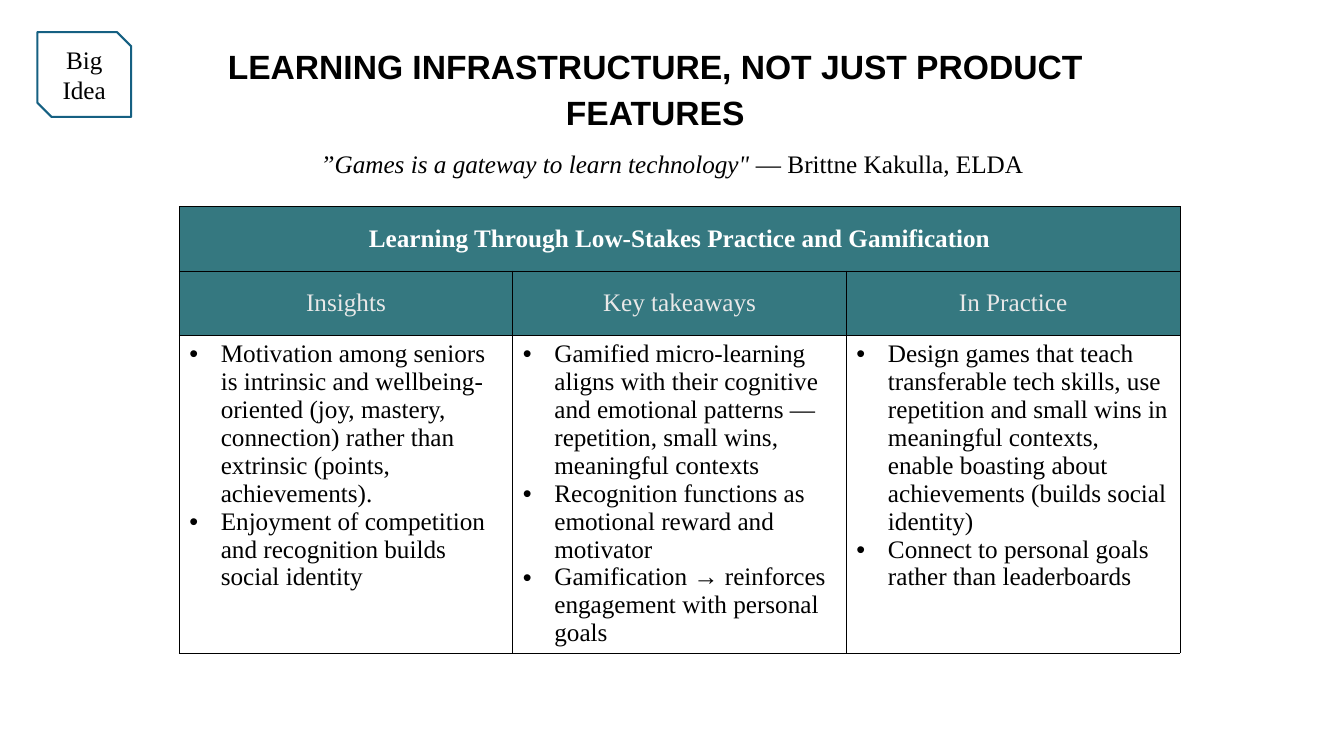
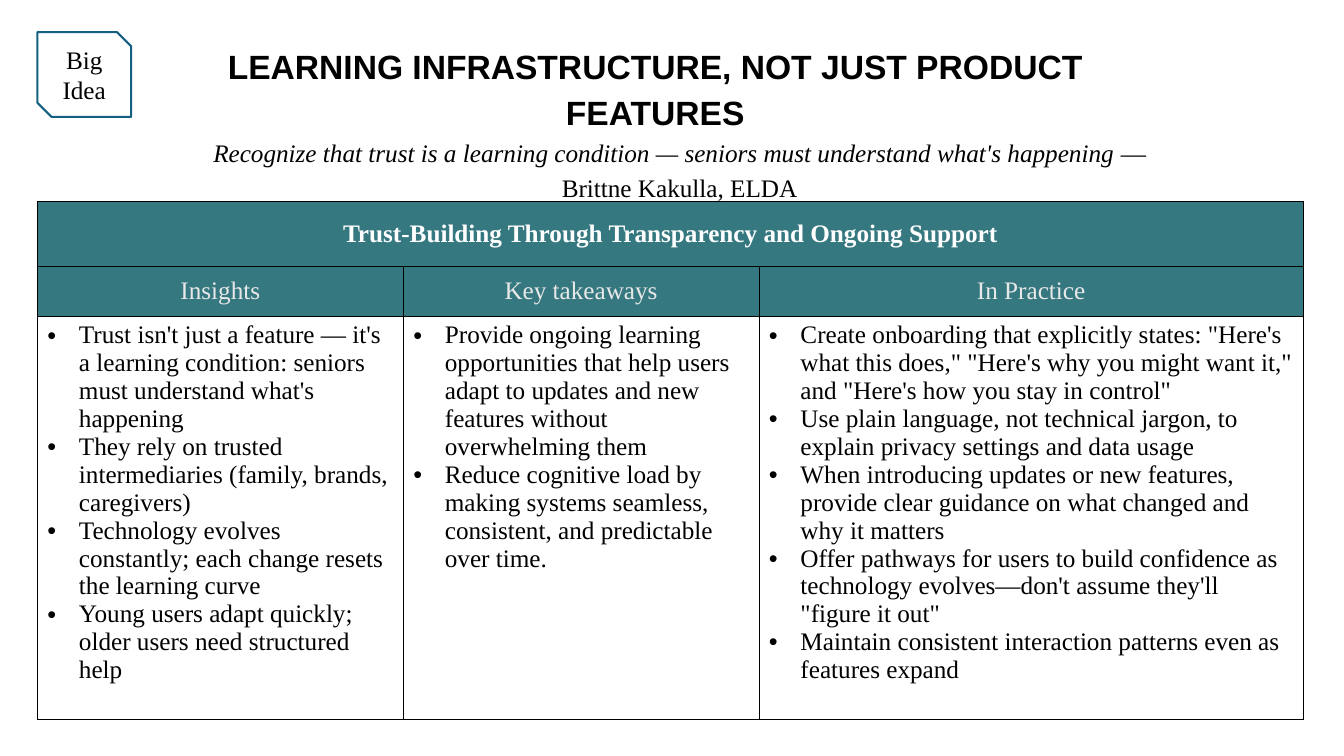
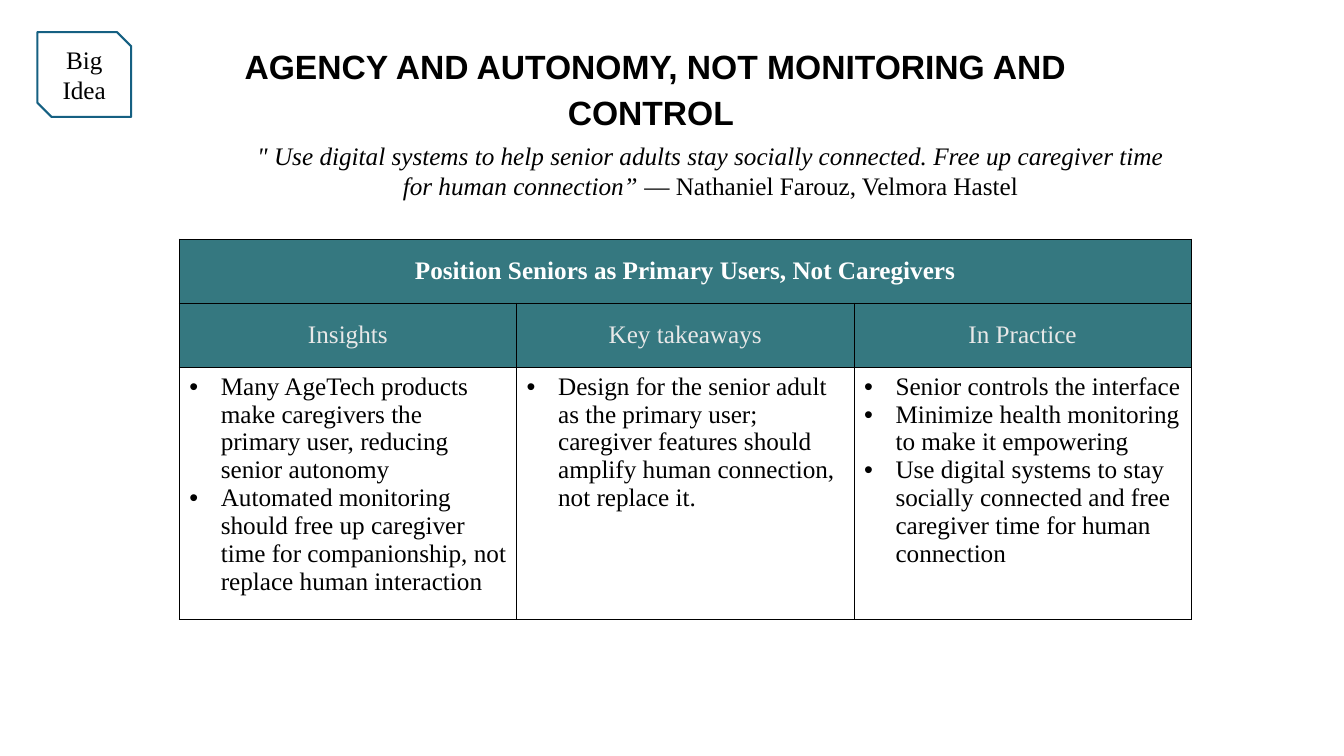
import lxml.etree
import pptx
import pptx.dml.color
import pptx.enum.shapes
import pptx.enum.text
import pptx.oxml
import pptx.oxml.ns
import pptx.util

Pt = pptx.util.Pt
CENTER = pptx.enum.text.PP_ALIGN.CENTER
MIDDLE = pptx.enum.text.MSO_ANCHOR.MIDDLE
TEAL, BLUE, BLACK, WHITE, PALE = "357880", "156082", "000000", "FFFFFF", "E8E8E8"
SERIF = {"name": "Times New Roman", "size": Pt(18)}
TITLE = {"name": "Arial", "size": Pt(24), "bold": True}
SPACED = {"alignment": CENTER, "line_spacing": 1.15, "space_after": Pt(8)}
BULLET_INDENT = Pt(22.5)
HEADINGS = ["Insights", "Key takeaways", "In Practice"]
BORDER = (
    '<a:{side} xmlns:a="http://schemas.openxmlformats.org/drawingml/2006/main" w="6350">'
    '<a:solidFill><a:srgbClr val="{color}"/></a:solidFill></a:{side}>'
)

INFRASTRUCTURE = "LEARNING INFRASTRUCTURE, NOT JUST PRODUCT FEATURES"
PAGES = [
    {
        "title": INFRASTRUCTURE,
        "quote": "”Games is a gateway to learn technology\" ",
        "speaker": "— Brittne Kakulla, ELDA",
        "quote_box": (160, 99.5, 640, 31),
        "quote_format": SPACED,
        "quote_indent": 0,
        "theme": "Learning Through Low-Stakes Practice and Gamification",
        "table_at": (128, 147.5),
        "columns": [238.3] * 3,
        "rows": [46, 46, 227],
        "points": [
            [
                "Motivation among seniors is intrinsic and wellbeing-oriented (joy, mastery, connection) "
                "rather than extrinsic (points, achievements).",
                "Enjoyment of competition and recognition builds social identity",
            ],
            [
                "Gamified micro-learning aligns with their cognitive and emotional patterns — "
                "repetition, small wins, meaningful contexts",
                "Recognition functions as emotional reward and motivator",
                "Gamification → reinforces engagement with personal goals",
            ],
            [
                "Design games that teach transferable tech skills, use repetition and small wins in "
                "meaningful contexts, enable boasting about achievements (builds social identity)",
                "Connect to personal goals rather than leaderboards",
            ],
        ],
    },
    {
        "title": INFRASTRUCTURE,
        "quote": "Recognize that trust is a learning condition — seniors must understand what's happening ",
        "speaker": "— Brittne Kakulla, ELDA",
        "quote_box": (128, 91.5, 715, 56),
        "quote_format": SPACED,
        "quote_indent": 0,
        "theme": "Trust-Building Through Transparency and Ongoing Support",
        "table_at": (26.7, 144),
        "columns": [261.4, 254, 389],
        "rows": [46, 36, 266],
        "points": [
            [
                "Trust isn't just a feature — it's a learning condition: seniors must understand "
                "what's happening",
                "They rely on trusted intermediaries (family, brands, caregivers)",
                "Technology evolves constantly; each change resets the learning curve",
                "Young users adapt quickly; older users need structured help",
            ],
            [
                "Provide ongoing learning opportunities that help users adapt to updates and new "
                "features without overwhelming them",
                "Reduce cognitive load by making systems seamless, consistent, and predictable over time.",
            ],
            [
                "Create onboarding that explicitly states: \"Here's what this does,\" \"Here's why you "
                "might want it,\" and \"Here's how you stay in control\"",
                "Use plain language, not technical jargon, to explain privacy settings and data usage",
                "When introducing updates or new features, provide clear guidance on what changed and "
                "why it matters",
                "Offer pathways for users to build confidence as technology evolves—don't assume "
                "they'll \"figure it out\"",
                "Maintain consistent interaction patterns even as features expand",
            ],
        ],
    },
    {
        "title": "AGENCY AND AUTONOMY, NOT MONITORING AND CONTROL ",
        "quote": "\" Use digital systems to help senior adults stay socially connected. "
                 "Free up caregiver time for human connection” ",
        "speaker": "— Nathaniel Farouz, Velmora Hastel",
        "quote_box": (128, 96.5, 723, 51),
        "quote_format": {"alignment": CENTER},
        "quote_indent": Pt(36),
        "theme": "Position Seniors as Primary Users, Not Caregivers",
        "table_at": (128, 170.6),
        "columns": [241] * 3,
        "rows": [46, 46, 180],
        "points": [
            [
                "Many AgeTech products make caregivers the primary user, reducing senior autonomy",
                "Automated monitoring should free up caregiver time for companionship, not replace "
                "human interaction",
            ],
            [
                "Design for the senior adult as the primary user; caregiver features should amplify "
                "human connection, not replace it.",
            ],
            [
                "Senior controls the interface",
                "Minimize health monitoring to make it empowering",
                "Use digital systems to stay socially connected and free caregiver time for human "
                "connection",
            ],
        ],
    },
]


def rgb(color):
    return pptx.dml.color.RGBColor.from_string(color)


def write(para, layout, color, *spans):
    """Fill a paragraph with (text, font format) spans, all in one colour."""
    for name, value in layout.items():
        setattr(para, name, value)
    for text, style in spans:
        span = para.add_run()
        span.text = text
        span.font.color.rgb = rgb(color)
        for name, value in style.items():
            setattr(span.font, name, value)


deck = pptx.Presentation()
deck.slide_width, deck.slide_height = Pt(960), Pt(540)

for content in PAGES:
    page = deck.slides.add_slide(deck.slide_layouts[6])

    # Table: merged theme row, headings, bulleted points
    widths, heights = content["columns"], content["rows"]
    extent = (*content["table_at"], sum(widths), sum(heights))
    table = page.shapes.add_table(3, 3, *map(Pt, extent)).table
    table.first_row = table.horz_banding = False
    for column, width in zip(table.columns, widths):
        column.width = Pt(width)
    for row, height in zip(table.rows, heights):
        row.height = Pt(height)
    for cell in table.iter_cells():
        properties = cell._tc.get_or_add_tcPr()
        for side in ("lnL", "lnR", "lnT", "lnB"):
            properties.append(pptx.oxml.parse_xml(BORDER.format(side=side, color=BLACK)))
        cell.fill.solid()
        cell.fill.fore_color.rgb = rgb(TEAL)
        cell.vertical_anchor = MIDDLE

    table.cell(0, 0).merge(table.cell(0, 2))
    write(table.cell(0, 0).text_frame.paragraphs[0], {"alignment": CENTER}, WHITE,
          (content["theme"], {**SERIF, "bold": True}))
    for index, (heading, points) in enumerate(zip(HEADINGS, content["points"])):
        write(table.cell(1, index).text_frame.paragraphs[0], {"alignment": CENTER}, PALE,
              (heading, SERIF))
        cell = table.cell(2, index)
        cell.fill.background()
        cell.vertical_anchor = pptx.enum.text.MSO_ANCHOR.TOP
        for number, point in enumerate(points):
            frame = cell.text_frame
            para = frame.add_paragraph() if number else frame.paragraphs[0]
            write(para, {}, BLACK, (point, SERIF))
            properties = para._p.get_or_add_pPr()
            properties.set("marL", str(BULLET_INDENT))
            properties.set("indent", str(-BULLET_INDENT))
            font = lxml.etree.SubElement(properties, pptx.oxml.ns.qn("a:buFont"))
            font.set("typeface", "Arial")
            bullet = lxml.etree.SubElement(properties, pptx.oxml.ns.qn("a:buChar"))
            bullet.set("char", "•")

    # Badge
    badge = page.shapes.add_shape(
        pptx.enum.shapes.MSO_SHAPE.SNIP_2_DIAG_RECTANGLE, Pt(26.7), Pt(23), Pt(67), Pt(60.5))
    badge.shadow.inherit = False
    badge.fill.solid()
    badge.fill.fore_color.rgb = rgb(WHITE)
    badge.line.color.rgb = rgb(BLUE)
    badge.line.width = Pt(1.5)
    badge.text_frame.word_wrap = True
    badge.text_frame.vertical_anchor = MIDDLE
    write(badge.text_frame.paragraphs[0], {"alignment": CENTER}, BLACK, ("Big Idea", SERIF))

    # Quote and title
    quote = [(content["quote"], {**SERIF, "italic": True}), (content["speaker"], SERIF)]
    texts = [
        (content["quote_box"], content["quote_format"], content["quote_indent"], quote),
        ((128, 25, 680, 74), SPACED, 0, [(content["title"], TITLE)]),
    ]
    for extent, layout, indent, spans in texts:
        box = page.shapes.add_textbox(*map(Pt, extent))
        box.text_frame.word_wrap = True
        box.text_frame.auto_size = pptx.enum.text.MSO_AUTO_SIZE.SHAPE_TO_FIT_TEXT
        para = box.text_frame.paragraphs[0]
        write(para, layout, BLACK, *spans)
        para._p.get_or_add_pPr().set("marL", str(indent))

deck.save("out.pptx")
